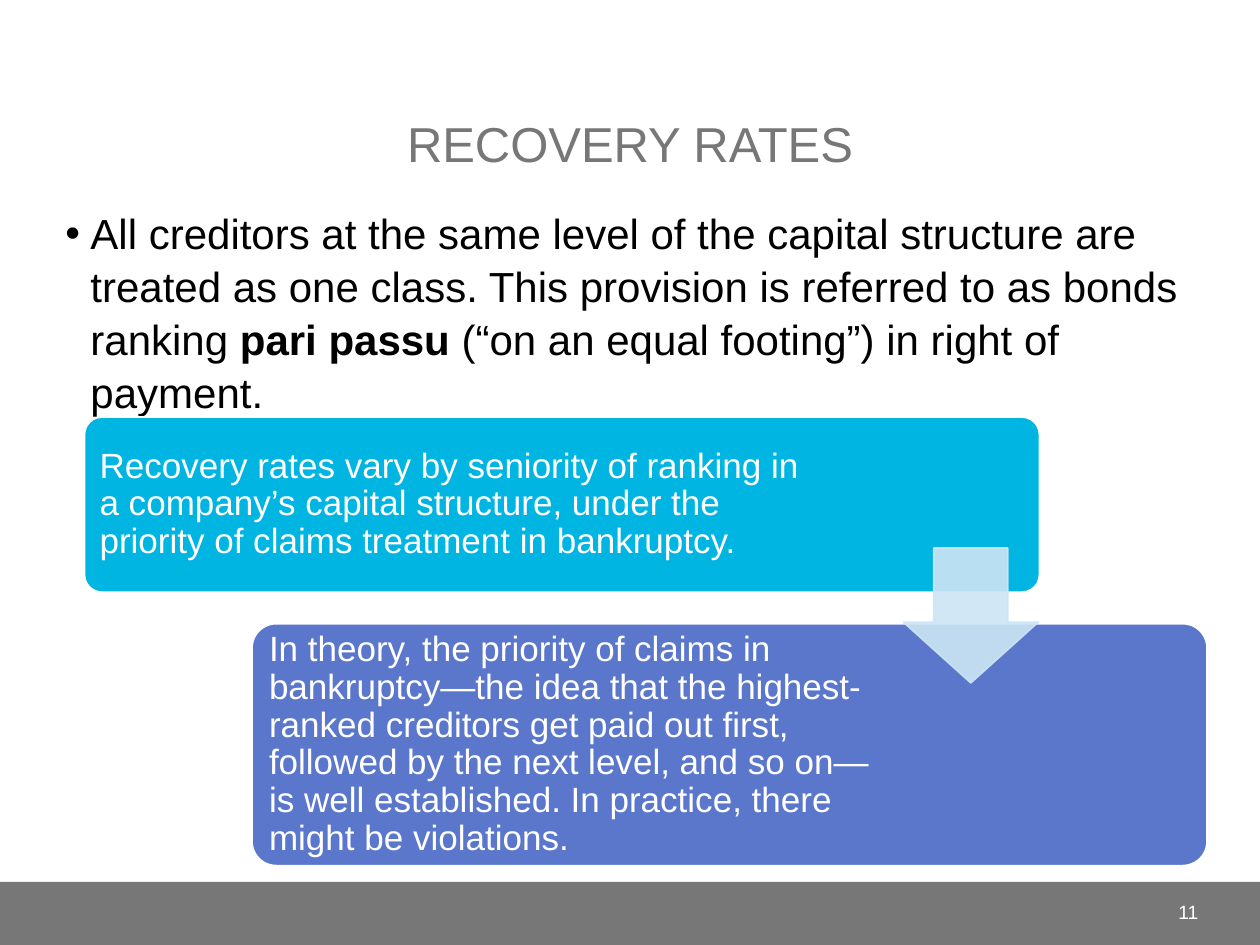
from lxml import etree
from pptx import Presentation
from pptx.dml.color import RGBColor
from pptx.enum.shapes import MSO_SHAPE
from pptx.enum.text import MSO_ANCHOR, MSO_AUTO_SIZE, PP_ALIGN
from pptx.oxml.ns import qn
from pptx.util import Pt

RECT, ROUND = MSO_SHAPE.RECTANGLE, MSO_SHAPE.ROUNDED_RECTANGLE
ARROW = MSO_SHAPE.DOWN_ARROW
TOP, MIDDLE, BOTTOM = MSO_ANCHOR.TOP, MSO_ANCHOR.MIDDLE, MSO_ANCHOR.BOTTOM
LEFT, CENTER, RIGHT = PP_ALIGN.LEFT, PP_ALIGN.CENTER, PP_ALIGN.RIGHT
NO_FIT = MSO_AUTO_SIZE.NONE

WHITE = RGBColor(0xFF, 0xFF, 0xFF)
BLACK = RGBColor(0, 0, 0)
GREY = RGBColor(0x77, 0x77, 0x77)
CYAN = RGBColor(0x00, 0xB5, 0xE2)
BLUE = RGBColor(0x5B, 0x77, 0xCC)
PALE = RGBColor(0xCC, 0xE5, 0xF4)

CORNER = 0.1      # corner radius as a share of the card height
PAD = 5.76        # inner margin of the card text

RULE = [("All creditors at the same level of the capital structure are treated "
         "as one class. This provision is referred to as bonds ranking ", False),
        ("pari passu ", True),
        ("(“on an equal footing”) in right of payment.", False)]
CARDS = [
    ((48.24, 238.32, 545.76, 100.08), 424.08, CYAN,
     "Recovery rates vary by seniority of ranking in a company’s capital "
     "structure, under the priority of claims treatment in bankruptcy."),
    ((144, 356.4, 545.76, 138.24), 364.32, BLUE,
     "In theory, the priority of claims in bankruptcy—the idea that the "
     "highest-ranked creditors get paid out first, followed by the next level, "
     "and so on—is well established. In practice, there might be violations."),
]


def apply(item, values):
    for name, value in values.items():
        setattr(item, name, value)


def place(item, box):
    apply(item, dict(zip(("left", "top", "width", "height"), map(Pt, box))))


def write(item, runs, size, color, align=LEFT, anchor=TOP, **frame):
    """Fill the item with one paragraph of (text, bold) runs and return it."""
    text = item.text_frame
    apply(text, {"word_wrap": True, "auto_size": NO_FIT,
                 "vertical_anchor": anchor, **frame})
    para = text.paragraphs[0]
    para.alignment = align
    for words, bold in runs:
        run = para.add_run()
        run.text = words
        apply(run.font, {"name": "Arial", "size": Pt(size), "bold": bold})
        run.font.color.rgb = color
    return para


def add_text(slide, box, runs, size, color, **style):
    return write(slide.shapes.add_textbox(*map(Pt, box)),
                 runs, size, color, **style)


def add_block(slide, kind, box, fill, edge=None, adjust=()):
    shape = slide.shapes.add_shape(kind, *map(Pt, box))
    shape.shadow.inherit = False
    for index, value in enumerate(adjust):
        shape.adjustments[index] = value
    shape.fill.solid()
    shape.fill.fore_color.rgb = fill
    if edge is None:
        shape.line.fill.background()
    else:
        shape.line.color.rgb = edge
        shape.line.width = Pt(1)
    return shape


def add_title(slide, box):
    title = slide.shapes.title
    place(title, box)
    write(title, [("RECOVERY RATES", False)], 28, GREY, CENTER, BOTTOM)


def add_body(slide, box):
    para = add_text(slide, box, RULE, 24, BLACK)
    apply(para, {"line_spacing": 1.05, "space_before": Pt(6),
                 "space_after": Pt(6)})
    props = para._p.get_or_add_pPr()
    props.set("marL", str(Pt(14.4)))
    props.set("indent", str(Pt(-14.4)))
    etree.SubElement(props, qn("a:buFont"), typeface="Arial")
    etree.SubElement(props, qn("a:buChar"), char="•")


def add_card(slide, box, span, fill, words):
    left, top, width, height = box
    add_block(slide, ROUND, box, fill, WHITE, [CORNER])
    inset = height * CORNER * 0.29    # keeps the text clear of the corners
    area = (left + inset, top + inset, span, height - 2 * inset)
    sides = ("left", "top", "right", "bottom")
    para = add_text(slide, area, [(words, False)], 20, WHITE, anchor=MIDDLE,
                    **{f"margin_{side}": Pt(PAD) for side in sides})
    para.line_spacing = 0.9


def add_arrow(slide, box):
    arrow = add_block(slide, ARROW, box, PALE, PALE, [0.55, 0.45])
    for color in arrow._element.spPr.iter(qn("a:srgbClr")):
        etree.SubElement(color, qn("a:alpha"), val="90000")


def add_footer(slide, box):
    left, top, width, height = box
    add_block(slide, RECT, box, GREY)
    add_text(slide, (left + width - 90, top + 2.88, 61.92, 28.8),
             [("11", False)], 11, WHITE, align=RIGHT, anchor=MIDDLE)


def main():
    deck = Presentation()
    apply(deck, {"slide_width": Pt(720), "slide_height": Pt(540)})
    slide = deck.slides.add_slide(deck.slide_layouts.get_by_name("Title Only"))
    add_footer(slide, (0, 504, 720, 36))
    add_title(slide, (30.24, 12.24, 659.52, 90))
    add_body(slide, (30.24, 113.76, 659.52, 372.24))
    for card in CARDS:
        add_card(slide, *card)
    add_arrow(slide, (516.24, 313.2, 77.04, 77.04))
    deck.save("out.pptx")


if __name__ == "__main__":
    main()
